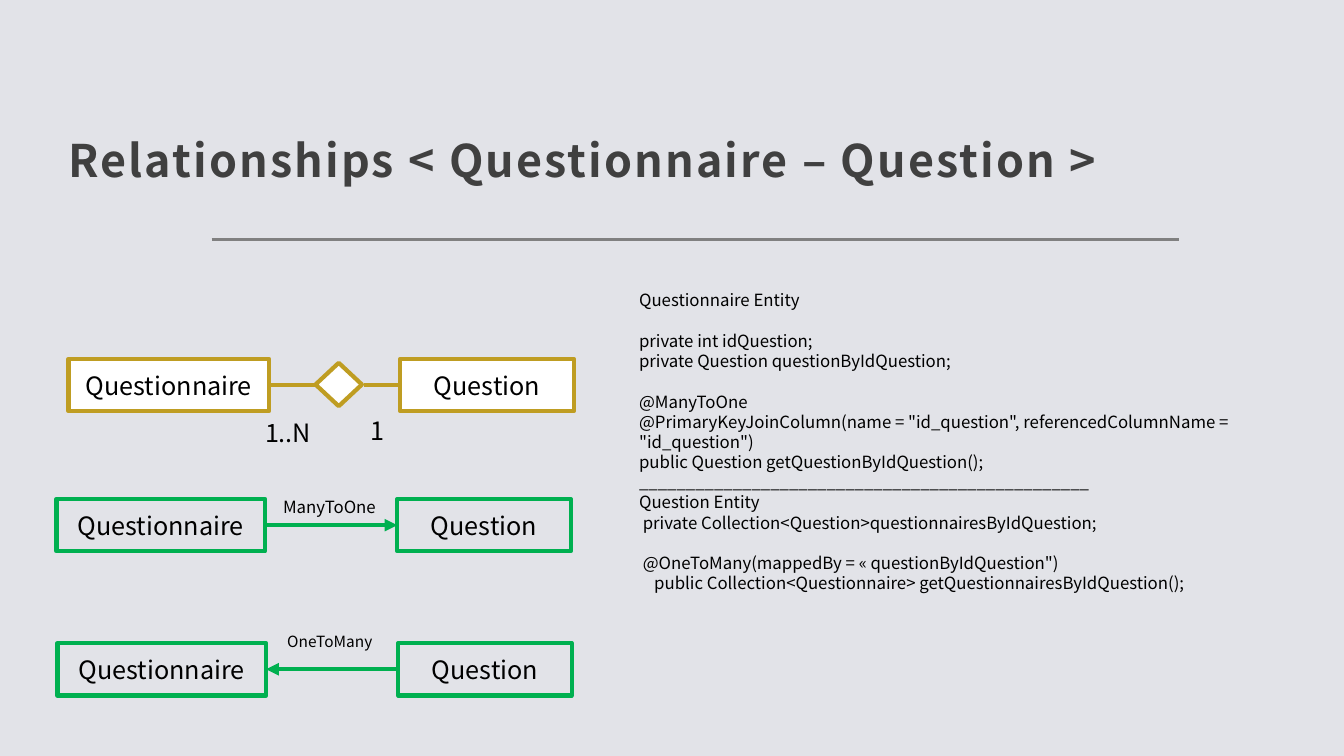
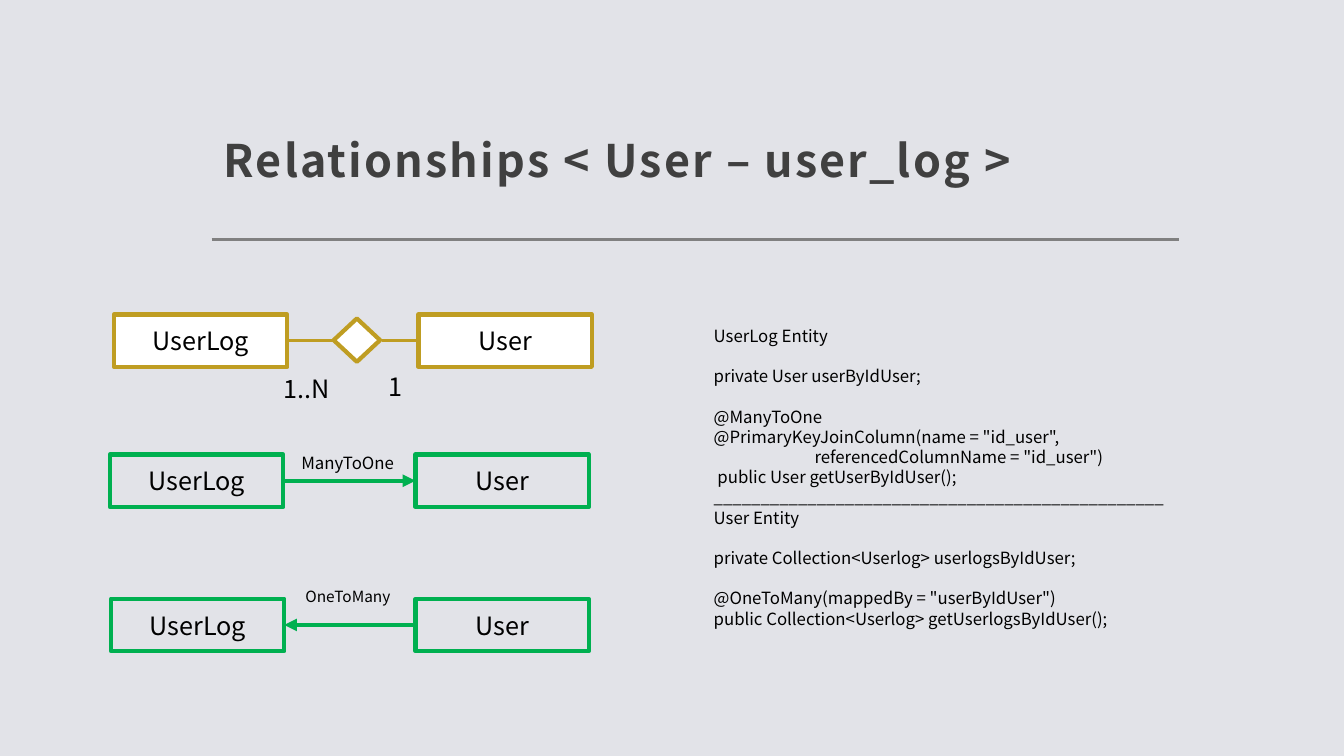
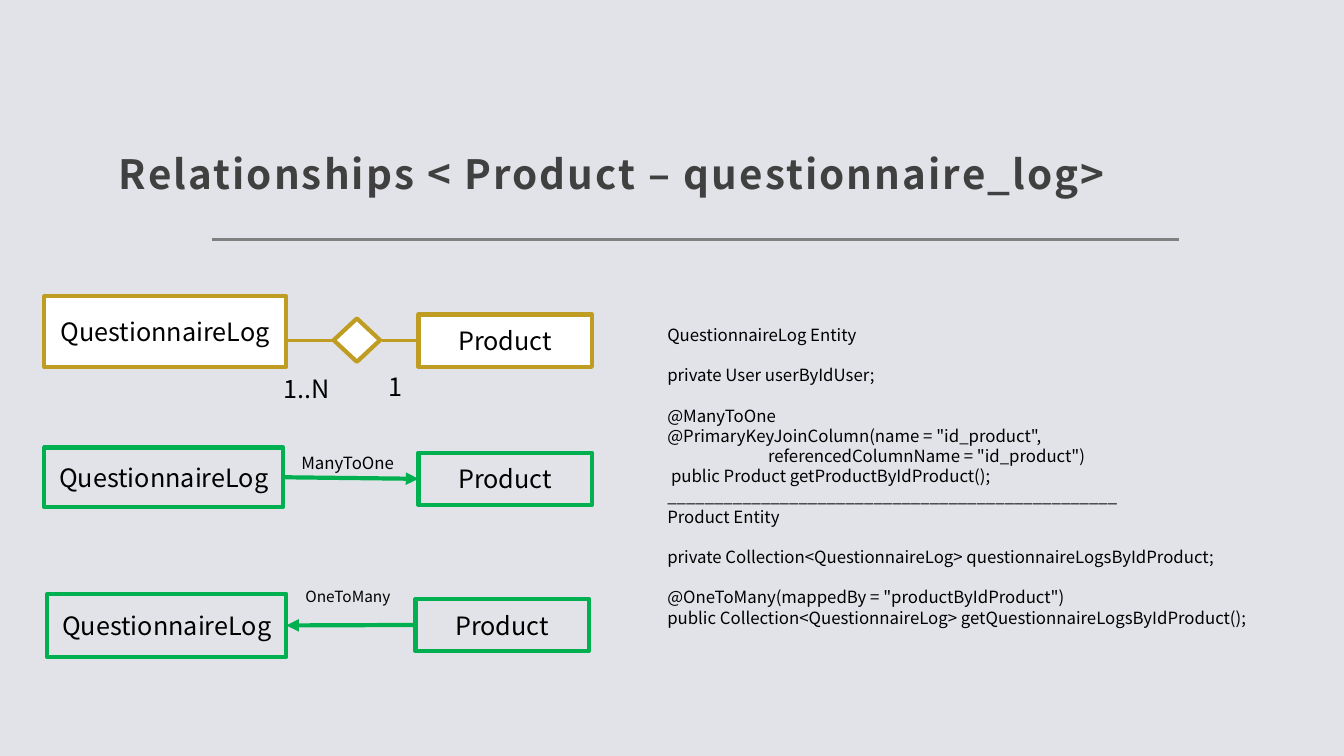
from dataclasses import dataclass

from lxml.etree import SubElement
from pptx import Presentation
from pptx.dml.color import RGBColor
from pptx.enum.shapes import MSO_CONNECTOR, MSO_SHAPE
from pptx.enum.text import MSO_ANCHOR, MSO_AUTO_SIZE, PP_ALIGN
from pptx.oxml.ns import qn
from pptx.util import Inches, Pt


@dataclass(frozen=True)
class Theme:
    font: str = "Noto Sans CJK JP"
    background: str = "E2E3E8"
    title: str = "404040"
    text: str = "000000"
    rule: str = "808080"
    gold: str = "BF9D22"
    green: str = "00B050"
    white: str = "FFFFFF"
    entity_size: float = 18
    code_size: float = 12
    small_size: float = 11
    code_gap: float = 14.5
    outline: float = 3
    thin: float = 2.25


THEME = Theme()
DIVIDER = "_" * 48
RIGHT_SIZE = (1.72, 0.52)

# Content: code is a list of blocks separated by a gap; a pair is (indent, line).
# Rows are model, many-to-one, one-to-many: left box, then right corner.
SLIDES = [
    {
        "title": "Relationships < Questionnaire – Question >",
        "title_at": (0.56, 0.48, 11.93, 1.47), "title_size": 32,
        "names": ("Questionnaire", "Question"),
        "rows": [
            ((0.68, 3.56, 1.99, 0.52), (3.97, 3.56)),
            ((0.56, 4.95, 2.07, 0.52), (3.94, 4.95)),
            ((0.57, 6.38, 2.07, 0.52), (3.95, 6.38)),
        ],
        "code_at": (6.24, 2.83, 6.42, 3.33),
        "code": [
            ["Questionnaire Entity"],
            ["private int idQuestion;",
             "private Question questionByIdQuestion;"],
            ["@ManyToOne",
             '@PrimaryKeyJoinColumn(name = "id_question", referencedColumnName = "id_question")',
             "public Question getQuestionByIdQuestion();",
             DIVIDER,
             "Question Entity",
             " private Collection<Question>questionnairesByIdQuestion;"],
            [' @OneToMany(mappedBy = « questionByIdQuestion")',
             (0.15, "public Collection<Questionnaire> getQuestionnairesByIdQuestion();")],
        ],
    },
    {
        "title": "Relationships < User – user_log >",
        "title_at": (2.1, 0.48, 9.59, 1.47), "title_size": 32,
        "names": ("UserLog", "User"),
        "rows": [
            ((1.13, 3.12, 1.72, 0.52), (4.15, 3.12)),
            ((1.09, 4.51, 1.72, 0.52), (4.12, 4.51)),
            ((1.1, 5.94, 1.72, 0.52), (4.12, 5.94)),
        ],
        "code_at": (6.98, 3.18, 6.11, 3.13),
        "code": [
            ["UserLog Entity"],
            ["private User userByIdUser;"],
            ["@ManyToOne",
             '@PrimaryKeyJoinColumn(name = "id_user",',
             (1, 'referencedColumnName = "id_user")'),
             " public User getUserByIdUser();",
             DIVIDER,
             "User Entity"],
            ["private Collection<Userlog> userlogsByIdUser;"],
            ['@OneToMany(mappedBy = "userByIdUser")',
             "public Collection<Userlog> getUserlogsByIdUser();"],
        ],
    },
    {
        "title": "Relationships < Product – questionnaire_log>",
        "title_at": (1.06, 0.59, 11.21, 1.47), "title_size": 28.8,
        "names": ("QuestionnaireLog", "Product"),
        "rows": [
            ((0.44, 2.94, 2.4, 0.7), (4.15, 3.12)),
            ((0.44, 4.44, 2.37, 0.59), (4.15, 4.49)),
            ((0.47, 5.89, 2.37, 0.63), (4.12, 5.94)),
        ],
        "code_at": (6.52, 3.17, 6.57, 3.13),
        "code": [
            ["QuestionnaireLog Entity"],
            ["private User userByIdUser;"],
            ["@ManyToOne",
             '@PrimaryKeyJoinColumn(name = "id_product",',
             (1, 'referencedColumnName = "id_product")'),
             " public Product getProductByIdProduct();",
             DIVIDER,
             "Product Entity"],
            ["private Collection<QuestionnaireLog> questionnaireLogsByIdProduct;"],
            ['@OneToMany(mappedBy = "productByIdProduct")',
             "public Collection<QuestionnaireLog> getQuestionnaireLogsByIdProduct();"],
        ],
    },
]

# Captions: text, offset from the top right entity, size of box, type size
CAPTIONS = [
    ("1", (-0.39, 0.51), (0.36, 0.4), THEME.entity_size),
    ("1..N", (-1.44, 0.53), (0.72, 0.4), THEME.entity_size),
    ("ManyToOne", (-1.26, 1.32), (1.15, 0.3), THEME.code_size),
    ("OneToMany", (-1.22, 2.66), (1.09, 0.29), THEME.small_size),
]


# Building blocks
def rgb(value):
    return RGBColor.from_string(value)


def inches(values):
    return [Inches(value) for value in values]


def add_span(para, text, size, color=THEME.text, bold=False):
    span = para.add_run()
    span.text = text
    span.font.name = THEME.font
    span.font.size = Pt(size)
    span.font.bold = bold
    span.font.color.rgb = rgb(color)
    return span


def add_box(page, at, wrap=True):
    frame = page.shapes.add_textbox(*inches(at)).text_frame
    frame.word_wrap = wrap
    frame.auto_size = MSO_AUTO_SIZE.SHAPE_TO_FIT_TEXT
    return frame


def add_outline(page, kind, at, color, fill=None):
    shape = page.shapes.add_shape(kind, *inches(at))
    shape.shadow.inherit = False
    if fill:
        shape.fill.solid()
        shape.fill.fore_color.rgb = rgb(fill)
    else:
        shape.fill.background()
    shape.line.color.rgb = rgb(color)
    shape.line.width = Pt(THEME.outline)
    return shape


def add_entity(page, name, at, color, fill):
    entity = add_outline(page, MSO_SHAPE.RECTANGLE, at, color, fill)
    frame = entity.text_frame
    frame.vertical_anchor = MSO_ANCHOR.MIDDLE
    para = frame.paragraphs[0]
    para.alignment = PP_ALIGN.CENTER
    add_span(para, name, THEME.entity_size)
    return entity


def add_line(page, start, end, color, width, arrow=False):
    line = page.shapes.add_connector(MSO_CONNECTOR.STRAIGHT, *inches(start + end))
    line.line.color.rgb = rgb(color)
    line.line.width = Pt(width)
    if arrow:
        SubElement(line.line._get_or_add_ln(), qn("a:tailEnd"), type="triangle")
    SubElement(line._element.spPr, qn("a:effectLst"))
    return line


# Parts of a slide
def add_base(deck, title, at, size):
    page = deck.slides.add_slide(deck.slide_layouts[6])
    add_line(page, (2.1, 2.38), (11.69, 2.38), THEME.rule, 2)
    frame = add_box(page, at)
    frame.auto_size = MSO_AUTO_SIZE.NONE
    frame.vertical_anchor = MSO_ANCHOR.BOTTOM
    frame.margin_left = frame.margin_top = frame.margin_right = Inches(0.12)
    frame.margin_bottom = Inches(0.1)
    para = frame.paragraphs[0]
    para.line_spacing = 1.3
    span = add_span(para, title, size, THEME.title, bold=True)
    span.font._element.set("spc", "150")
    return page


def add_code(page, at, blocks):
    frame = add_box(page, at)
    for block_index, block in enumerate(blocks):
        for line_index, line in enumerate(block):
            indent, text = line if isinstance(line, tuple) else (0, line)
            first = block_index == line_index == 0
            para = frame.paragraphs[0] if first else frame.add_paragraph()
            if block_index and not line_index:
                para.space_before = Pt(THEME.code_gap)
            if indent:
                para._p.get_or_add_pPr().set("marL", str(Inches(indent)))
            add_span(para, text, THEME.code_size)


def add_diagram(page, names, rows):
    pairs = []
    for index, (left_at, right_corner) in enumerate(rows):
        color, fill = (THEME.green, None) if index else (THEME.gold, THEME.white)
        pairs.append([add_entity(page, name, at, color, fill)
                      for name, at in zip(names, (left_at, right_corner + RIGHT_SIZE))])

    # Association diamond between the top pair
    (left_x, left_y, left_w, left_h), (x, y) = rows[0]
    middle = y + RIGHT_SIZE[1] / 2
    add_outline(page, MSO_SHAPE.DIAMOND, (x - 0.84, middle - 0.22, 0.46, 0.43),
                THEME.gold, THEME.white)
    left_link = add_line(page, (left_x + left_w, middle), (x - 0.84, middle),
                         THEME.gold, THEME.thin)
    if abs(left_y + left_h / 2 - middle) < 0.01:
        left_link.begin_connect(pairs[0][0], 3)
    right_link = add_line(page, (x, middle), (x - 0.36, middle), THEME.gold, THEME.thin)
    right_link.begin_connect(pairs[0][1], 1)

    # Mapping arrows: left to right, then back
    many, one = pairs[1:]
    for source, side, target, target_side in ((many[0], 3, many[1], 1),
                                              (one[1], 1, one[0], 3)):
        arrow = add_line(page, (0, 0), (1, 1), THEME.green, THEME.outline, arrow=True)
        arrow.begin_connect(source, side)
        arrow.end_connect(target, target_side)

    for text, (dx, dy), size, type_size in CAPTIONS:
        frame = add_box(page, (x + dx, y + dy) + size, wrap=False)
        add_span(frame.paragraphs[0], text, type_size)


def main():
    deck = Presentation()
    deck.slide_width, deck.slide_height = Inches(13.33), Inches(7.5)
    backdrop = deck.slide_master.background.fill
    backdrop.solid()
    backdrop.fore_color.rgb = rgb(THEME.background)
    for item in SLIDES:
        page = add_base(deck, item["title"], item["title_at"], item["title_size"])
        add_code(page, item["code_at"], item["code"])
        add_diagram(page, item["names"], item["rows"])
    deck.save("out.pptx")


if __name__ == "__main__":
    main()
